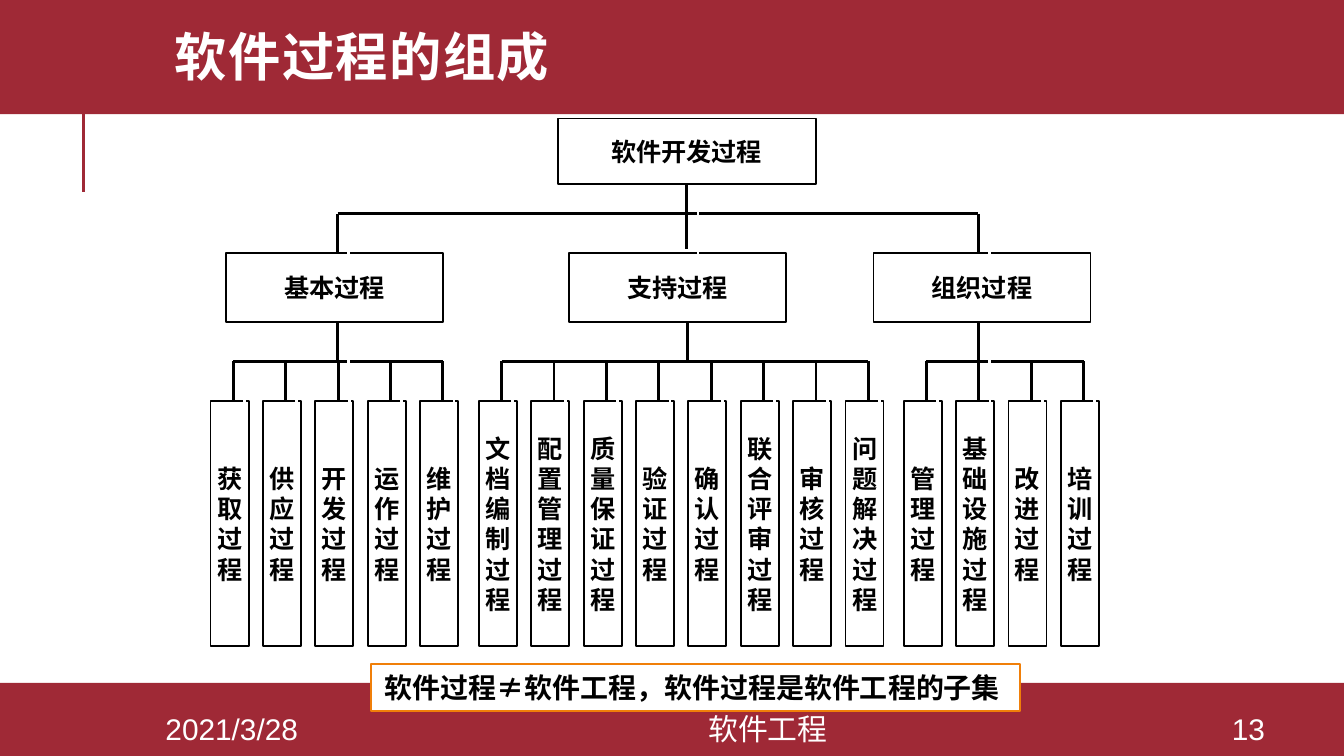
from dataclasses import dataclass

from lxml import etree
from pptx import Presentation
from pptx.dml.color import RGBColor
from pptx.enum.shapes import MSO_CONNECTOR, MSO_SHAPE
from pptx.enum.text import MSO_ANCHOR, MSO_AUTO_SIZE, PP_ALIGN
from pptx.oxml.ns import qn
from pptx.util import Cm, Pt

RECTANGLE = MSO_SHAPE.RECTANGLE
STRAIGHT = MSO_CONNECTOR.STRAIGHT
MIDDLE = MSO_ANCHOR.MIDDLE
NO_AUTOFIT = MSO_AUTO_SIZE.NONE
LEFT, CENTER = PP_ALIGN.LEFT, PP_ALIGN.CENTER

RED, BLACK, WHITE, ORANGE = "9F2936", "000000", "FFFFFF", "F07F09"
EAST_ASIAN_FONT = "Noto Sans CJK SC"

ROOT_BUS_Y = 4.04
BRANCH_TOP, BRANCH_WIDTH, BRANCH_HEIGHT = 4.78, 4.1, 1.31
LEAF_BUS_Y = 6.83
LEAF_TOP, LEAF_WIDTH, LEAF_HEIGHT = 7.58, 0.72, 4.64
LEAF_PITCH, LEAF_STEM_OFFSET = 0.99, 0.43


@dataclass(frozen=True)
class Box:
    left: float
    top: float
    width: float
    height: float


@dataclass(frozen=True)
class TextStyle:
    font: str
    size: float
    color: str
    bold: bool = False
    alignment: PP_ALIGN = CENTER
    line_spacing: float | Pt | None = None


@dataclass(frozen=True)
class Branch:
    name: str
    left: float
    stem_x: float
    first_leaf_left: float
    leaves: tuple[str, ...]
    shadowed_drop: bool = True

    def leaf_left(self, index: int) -> float:
        return self.first_leaf_left + index * LEAF_PITCH

    def leaf_stem(self, index: int) -> float:
        return self.leaf_left(index) + LEAF_STEM_OFFSET


TITLE_STYLE = TextStyle("Montserrat", 28, WHITE, True, LEFT, 0.8)
NODE_STYLE = TextStyle("Times New Roman", 13.5, BLACK, True, line_spacing=Pt(16.2))
NOTE_STYLE = TextStyle(EAST_ASIAN_FONT, 15, BLACK, True, LEFT)
FOOTER_STYLE = TextStyle("Arial", 16, WHITE)

BRANCHES = (
    Branch("基本过程", 4.27, 6.38, 3.98,
           ("获取过程", "供应过程", "开发过程", "运作过程", "维护过程")),
    Branch("支持过程", 10.75, 13.0, 9.05,
           ("文档编制过程", "配置管理过程", "质量保证过程", "验证过程",
            "确认过程", "联合评审过程", "审核过程", "问题解决过程"), False),
    Branch("组织过程", 16.51, 18.49, 17.08,
           ("管理过程", "基础设施过程", "改进过程", "培训过程")),
)
FOOTERS = (
    ("2021/3/28", Box(2.13, 13.49, 4.5, 0.58)),
    ("软件工程", Box(6.63, 13.49, 15.77, 0.58)),
    ("13", Box(22.58, 13.49, 2.03, 0.58)),
)


def rgb(color: str) -> RGBColor:
    return RGBColor.from_string(color)


def lengths(box: Box) -> tuple[Cm, Cm, Cm, Cm]:
    return Cm(box.left), Cm(box.top), Cm(box.width), Cm(box.height)


def write_text(shape, text: str, style: TextStyle, wrap: bool = True) -> None:
    text_frame = shape.text_frame
    text_frame.text = text
    text_frame.auto_size = NO_AUTOFIT
    text_frame.word_wrap = wrap
    text_frame.vertical_anchor = MIDDLE
    for paragraph in text_frame.paragraphs:
        paragraph.alignment = style.alignment
        paragraph.line_spacing = style.line_spacing
        for run in paragraph.runs:
            run.font.name = style.font
            run.font.size = Pt(style.size)
            run.font.bold = style.bold
            run.font.color.rgb = rgb(style.color)
            east_asian = etree.SubElement(run.font._element, qn("a:ea"))
            east_asian.set("typeface", EAST_ASIAN_FONT)


def add_rectangle(slide, box: Box, fill: str | None = None,
                  line: str | None = None, line_width: float = 1):
    shape = slide.shapes.add_shape(RECTANGLE, *lengths(box))
    shape.shadow.inherit = False
    if fill:
        shape.fill.solid()
        shape.fill.fore_color.rgb = rgb(fill)
    else:
        shape.fill.background()
    if line:
        shape.line.color.rgb = rgb(line)
        shape.line.width = Pt(line_width)
    else:
        shape.line.fill.background()
    return shape


def add_node(slide, box: Box, text: str) -> None:
    shape = add_rectangle(slide, box, line=BLACK)
    text_frame = shape.text_frame
    text_frame.margin_left = text_frame.margin_right = Cm(0.1)
    text_frame.margin_top = text_frame.margin_bottom = Cm(0.08)
    write_text(shape, text, NODE_STYLE)


def add_line(slide, start: tuple[float, float], end: tuple[float, float],
             color: str = BLACK, shadowed: bool = False) -> None:
    connector = slide.shapes.add_connector(
        STRAIGHT, Cm(start[0]), Cm(start[1]), Cm(end[0]), Cm(end[1]))
    connector.line.color.rgb = rgb(color)
    connector.line.width = Pt(1.5)
    effects = etree.SubElement(connector._element.spPr, qn("a:effectLst"))
    if shadowed:
        shadow = etree.SubElement(effects, qn("a:outerShdw"),
                                  dist=str(Pt(8.5)), dir="2700000", rotWithShape="0")
        etree.SubElement(shadow, qn("a:srgbClr"), val=WHITE)


def add_stem(slide, x: float, top: float, bottom: float, shadowed: bool = True) -> None:
    add_line(slide, (x, top), (x, bottom), shadowed=shadowed)


def add_title(slide, text: str) -> None:
    title = slide.shapes.title
    title.left, title.top, title.width, title.height = lengths(Box(3.05, 0, 21.56, 2.31))
    write_text(title, text, TITLE_STYLE)
    title.text_frame.paragraphs[0].runs[0].font._element.set("spc", "80")
    title._element.getparent().append(title._element)


def add_root(slide) -> None:
    add_line(slide, (BRANCHES[0].stem_x, ROOT_BUS_Y), (BRANCHES[-1].stem_x, ROOT_BUS_Y))
    add_node(slide, Box(10.54, 2.24, 4.88, 1.24), "软件开发过程")
    for branch in BRANCHES:
        add_node(slide, Box(branch.left, BRANCH_TOP, BRANCH_WIDTH, BRANCH_HEIGHT), branch.name)
    add_stem(slide, 12.98, 3.48, 4.7)
    for branch in (BRANCHES[0], BRANCHES[-1]):
        add_stem(slide, branch.stem_x, ROOT_BUS_Y, BRANCH_TOP)


def add_leaves(slide, branch: Branch) -> None:
    last = len(branch.leaves) - 1
    add_line(slide, (branch.leaf_stem(0), LEAF_BUS_Y), (branch.leaf_stem(last), LEAF_BUS_Y))
    add_stem(slide, branch.stem_x, BRANCH_TOP + BRANCH_HEIGHT, LEAF_BUS_Y, branch.shadowed_drop)
    for index, name in enumerate(branch.leaves):
        box = Box(branch.leaf_left(index), LEAF_TOP, LEAF_WIDTH, LEAF_HEIGHT)
        add_node(slide, box, "\n".join(name))
    for index in range(len(branch.leaves)):
        add_stem(slide, branch.leaf_stem(index), LEAF_BUS_Y, LEAF_TOP)


def main() -> None:
    presentation = Presentation()
    presentation.slide_width, presentation.slide_height = Cm(25.4), Cm(14.29)
    slide = presentation.slides.add_slide(presentation.slide_layouts[5])

    add_line(slide, (1.58, 1.73), (1.58, 3.63), RED)
    add_rectangle(slide, Box(0, 12.91, 25.4, 1.38), RED)
    add_rectangle(slide, Box(0, -0.08, 25.4, 2.24), RED)
    add_title(slide, "软件过程的组成")

    add_root(slide)
    for branch in BRANCHES:
        add_leaves(slide, branch)

    note = add_rectangle(slide, Box(7.01, 12.55, 12.27, 0.89), WHITE, ORANGE, 1.25)
    write_text(note, "软件过程≠软件工程，软件过程是软件工程的子集", NOTE_STYLE, wrap=False)

    for text, box in FOOTERS:
        write_text(slide.shapes.add_textbox(*lengths(box)), text, FOOTER_STYLE)

    presentation.save("out.pptx")


if __name__ == "__main__":
    main()
